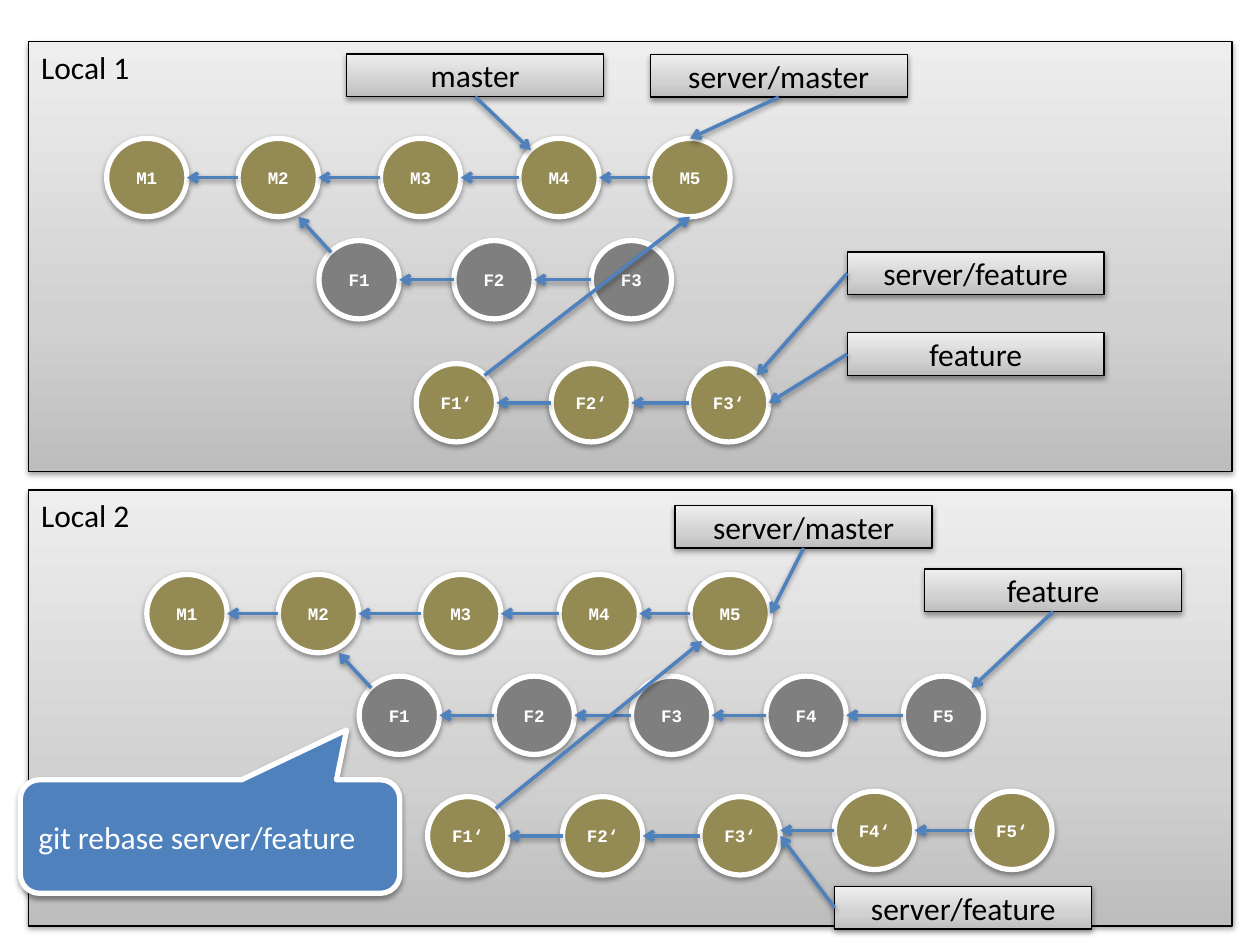
from lxml import etree
from pptx import Presentation
from pptx import util as u
from pptx.dml.color import RGBColor
from pptx.enum import shapes, text
from pptx.oxml import parse_xml
from pptx.oxml.ns import nsdecls, qn

BLACK = RGBColor(0x00, 0x00, 0x00)
WHITE = RGBColor(0xFF, 0xFF, 0xFF)
BLUE = RGBColor(0x4F, 0x81, 0xBD)
OLIVE = RGBColor(0x94, 0x8A, 0x54)
GREY = RGBColor(0x7F, 0x7F, 0x7F)
# Stops of the grey gradient, running from bottom to top
GRADIENT = {
    0: RGBColor(0xBD, 0xBD, 0xBD),
    35: RGBColor(0xD1, 0xD1, 0xD1),
    100: RGBColor(0xEE, 0xEE, 0xEE),
}

BODY = {"name": "Calibri", "size": u.Pt(18)}
CODE = {"name": "Courier New", "size": u.Pt(10), "bold": True}

# Commit size and column offsets, in centimetres
COMMIT_W, COMMIT_H = 1.62, 1.58
MASTER_STEPS = (0, 2.65, 5.52, 8.31, 10.95)
FEATURE_STEPS = (0, 2.72, 5.49, 8.2, 10.97)

# Points on a commit's rim, as fractions of its width and height
TOP, BOTTOM = (0.5, 0), (0.5, 1)
LEFT, RIGHT = (0, 0.5), (1, 0.5)
TOP_LEFT, TOP_RIGHT = (0.15, 0.15), (0.85, 0.15)
BOTTOM_LEFT, LOW_RIGHT = (0.15, 0.85), (0.75, 1)

# Connection sites of a rectangle
SIDE_LEFT, SIDE_BOTTOM = 1, 2


def add_shadow(effects):
    effects.append(parse_xml(
        f'<a:outerShdw {nsdecls("a")} blurRad="40000" dist="20000" dir="5400000"'
        ' rotWithShape="0"><a:srgbClr val="000000"><a:alpha val="38000"/>'
        '</a:srgbClr></a:outerShdw>'))


def fill_gradient(shape):
    shape.fill.gradient()
    stops = "".join(
        f'<a:gs pos="{place * 1000}"><a:srgbClr val="{color}"/></a:gs>'
        for place, color in GRADIENT.items())
    old = shape._element.spPr.find(qn("a:gradFill"))
    old.getparent().replace(old, parse_xml(
        f'<a:gradFill {nsdecls("a")} rotWithShape="1"><a:gsLst>{stops}</a:gsLst>'
        '<a:lin ang="16200000" scaled="0"/></a:gradFill>'))


def add_block(page, kind, place, words, fill, line, font, color,
              anchor=text.MSO_ANCHOR.MIDDLE, align=text.PP_ALIGN.CENTER):
    """Add a shadowed shape with one line of text; no fill means the gradient."""
    shape = page.shapes.add_shape(kind, *(u.Cm(n) for n in place))
    if fill is None:
        fill_gradient(shape)
    else:
        shape.fill.solid()
        shape.fill.fore_color.rgb = fill
    shape.line.color.rgb, shape.line.width = line
    shape.shadow.inherit = False
    add_shadow(shape._element.spPr.find(qn("a:effectLst")))

    frame = shape.text_frame
    frame.word_wrap = True
    frame.vertical_anchor = anchor
    para = frame.paragraphs[0]
    para.alignment = align
    span = para.add_run()
    span.text = words
    for name, value in font.items():
        setattr(span.font, name, value)
    span.font.color.rgb = color
    return shape


def add_panel(page, title, top, height):
    add_block(page, shapes.MSO_SHAPE.RECTANGLE, (0.58, top, 24.26, height), title,
              None, (BLACK, u.Pt(0.75)), BODY, BLACK,
              text.MSO_ANCHOR.TOP, text.PP_ALIGN.LEFT)


def add_arrow(page, start, end):
    arrow = page.shapes.add_connector(shapes.MSO_CONNECTOR.STRAIGHT, *start, *end)
    arrow.line.color.rgb = BLUE
    arrow.line.width = u.Pt(2)
    etree.SubElement(arrow.line._get_or_add_ln(), qn("a:tailEnd"), type="arrow")
    add_shadow(etree.SubElement(arrow._element.spPr, qn("a:effectLst")))
    return arrow


def rim(commit, spot):
    return (int(commit.left + commit.width * spot[0]),
            int(commit.top + commit.height * spot[1]))


def add_commits(page, names, left, top, steps, color):
    """Add a row of commits, each pointing back to the one before."""
    row = []
    for name, step in zip(names.split(), steps):
        commit = add_block(page, shapes.MSO_SHAPE.OVAL,
                           (left + step, top, COMMIT_W, COMMIT_H), name,
                           color, (WHITE, u.Pt(3)), CODE, WHITE)
        commit.text_frame.margin_left = commit.text_frame.margin_right = 0
        if row:
            add_arrow(page, rim(commit, LEFT), rim(row[-1], RIGHT))
        row.append(commit)
    return row


def add_branch(page, name, left, top, side, commit, spot):
    """Add a branch label with an arrow from its side to a commit."""
    label = add_block(page, shapes.MSO_SHAPE.RECTANGLE, (left, top, 5.18, 0.86),
                      name, None, (BLACK, u.Pt(0.75)), BODY, BLACK)
    arrow = add_arrow(page, (label.left, label.top), rim(commit, spot))
    arrow.begin_connect(label, side)


def add_callout(page):
    callout = add_block(page, shapes.MSO_SHAPE.ROUNDED_RECTANGULAR_CALLOUT,
                        (0.41, 15.72, 7.65, 2.29), "git rebase server/feature",
                        BLUE, (WHITE, u.Pt(3)), BODY, WHITE,
                        align=text.PP_ALIGN.LEFT)
    for index, value in enumerate((0.36, -0.94, 0.17)):
        callout.adjustments[index] = value


def draw_local_1(page):
    master = add_commits(page, "M1 M2 M3 M4 M5", 2.15, 2.79, MASTER_STEPS, OLIVE)
    feature = add_commits(page, "F1 F2 F3", 6.43, 4.85, FEATURE_STEPS, GREY)
    rebased = add_commits(page, "F1‘ F2‘ F3‘", 8.39, 7.33, FEATURE_STEPS, OLIVE)
    add_arrow(page, rim(feature[0], TOP_LEFT), rim(master[1], LOW_RIGHT))
    add_arrow(page, rim(rebased[0], TOP_RIGHT), rim(master[4], BOTTOM))

    add_branch(page, "master", 6.99, 1.09, SIDE_BOTTOM, master[3], TOP_LEFT)
    add_branch(page, "server/master", 13.11, 1.1, SIDE_BOTTOM, master[4], TOP)
    add_branch(page, "server/feature", 17.08, 5.08, SIDE_LEFT, rebased[2], TOP_RIGHT)
    add_branch(page, "feature", 17.08, 6.71, SIDE_LEFT, rebased[2], RIGHT)


def draw_local_2(page):
    add_callout(page)
    master = add_commits(page, "M1 M2 M3 M4 M5", 2.96, 11.58, MASTER_STEPS, OLIVE)
    feature = add_commits(page, "F1 F2 F3 F4 F5", 7.24, 13.63, FEATURE_STEPS, GREY)
    rebased = add_commits(page, "F1‘ F2‘ F3‘", 8.62, 16.06, FEATURE_STEPS, OLIVE)
    # The last two commits sit slightly higher than the rest of their row
    newest = add_commits(page, "F4‘ F5‘", 8.62, 15.95, FEATURE_STEPS[3:], OLIVE)
    start = rim(newest[0], LEFT)
    add_arrow(page, start, (rim(rebased[2], RIGHT)[0], start[1]))
    add_arrow(page, rim(feature[0], TOP_LEFT), rim(master[1], LOW_RIGHT))
    add_arrow(page, rim(rebased[0], TOP_RIGHT), rim(master[4], BOTTOM_LEFT))

    add_branch(page, "server/master", 13.61, 10.19, SIDE_BOTTOM, master[4], RIGHT)
    add_branch(page, "feature", 18.64, 11.47, SIDE_BOTTOM, feature[4], TOP_RIGHT)
    add_branch(page, "server/feature", 16.83, 17.87, SIDE_LEFT, rebased[2], RIGHT)


def main():
    deck = Presentation()
    deck.slide_width, deck.slide_height = u.Cm(25.4), u.Cm(19.05)
    page = deck.slides.add_slide(deck.slide_layouts[6])

    # Repository panels
    add_panel(page, "Local 1", 0.84, 8.67)
    add_panel(page, "Local 2", 9.88, 8.79)

    # Commit graphs and branch labels
    draw_local_1(page)
    draw_local_2(page)

    deck.save("out.pptx")


if __name__ == "__main__":
    main()
